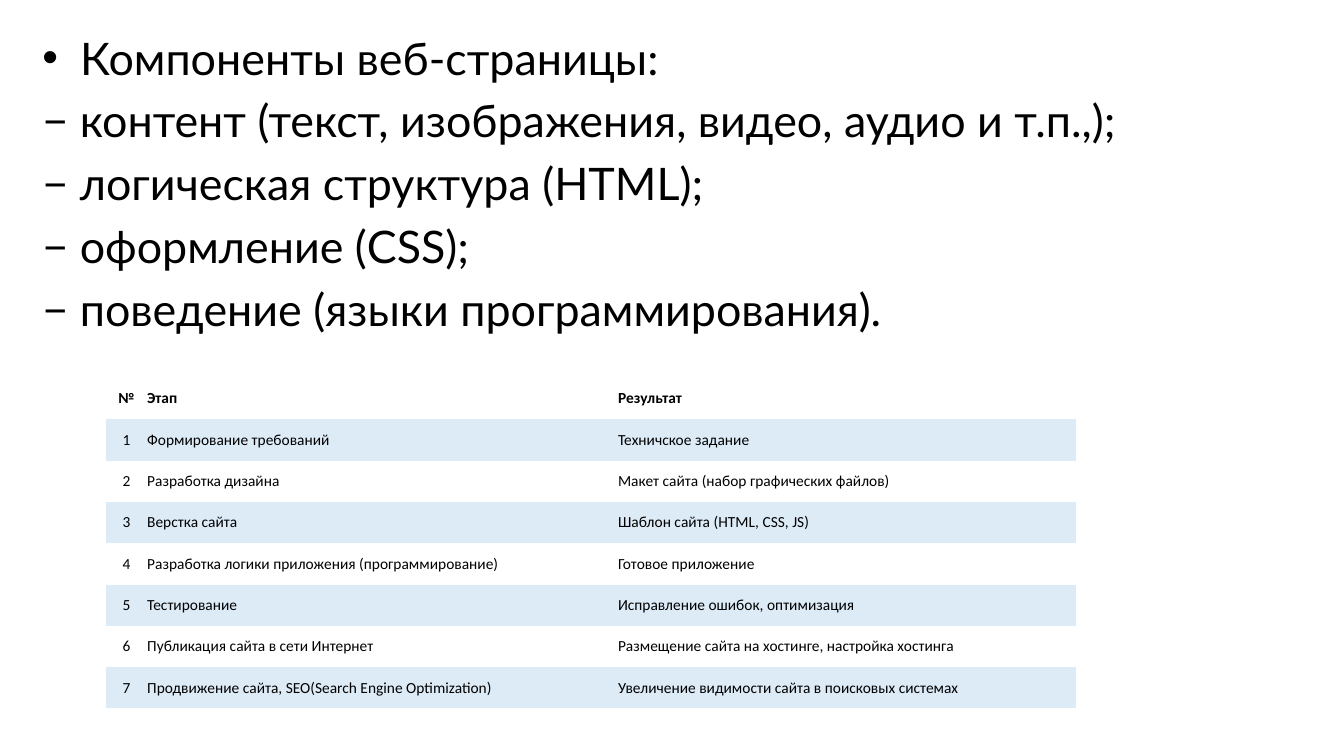
import pptx
import pptx.dml.color
import pptx.enum.text
import pptx.oxml.ns
import pptx.util
from pptx.util import Inches

BLACK = pptx.dml.color.RGBColor(0x00, 0x00, 0x00)
PALE_BLUE = pptx.dml.color.RGBColor(0xDD, 0xEB, 0xF7)
PLAIN_TABLE_STYLE = "{2D5ABB26-0587-4C30-8999-92F81FD0307C}"

LIST_FONT = {"name": "Lato", "size": pptx.util.Pt(32)}
TABLE_FONT = {"name": "Calibri", "size": pptx.util.Pt(11)}
CELL_FORMAT = {
    "margin_left": 0,
    "margin_right": 0,
    "margin_top": 0,
    "margin_bottom": 0,
    "vertical_anchor": pptx.enum.text.MSO_ANCHOR.MIDDLE,
}

HEADING = "Компоненты веб-страницы:"
COMPONENTS = [
    "контент (текст, изображения, видео, аудио и т.п.,);",
    "логическая структура (HTML);",
    "оформление (CSS);",
    "поведение (языки программирования).",
]
COLUMN_WIDTHS = [0.41, 4.67, 4.54]
ROW_HEIGHT = 0.41
HEADER = ("№", "Этап", "Результат")
STAGES = [
    ("Формирование требований", "Техничское задание"),
    ("Разработка дизайна", "Макет сайта (набор графических файлов)"),
    ("Верстка сайта", "Шаблон сайта (HTML, CSS, JS)"),
    ("Разработка логики приложения (программирование)", "Готовое приложение"),
    ("Тестирование", "Исправление ошибок, оптимизация"),
    ("Публикация сайта в сети Интернет",
     "Размещение сайта на хостинге, настройка хостинга"),
    ("Продвижение сайта, SEO(Search Engine Optimization)",
     "Увеличение видимости сайта в поисковых системах"),
]


def apply_format(target, values):
    for attribute, value in values.items():
        setattr(target, attribute, value)


def write(paragraph, text, font_format):
    run = paragraph.add_run()
    run.text = text
    apply_format(run.font, font_format)
    run.font.color.rgb = BLACK


def fill_component_list(body):
    """Fill the body; bullet, hanging indent and spacing come from the layout."""
    place = {"left": 0.32, "top": 0.25, "width": 12, "height": 3.5}
    apply_format(body, {side: Inches(length) for side, length in place.items()})
    frame = body.text_frame
    frame.word_wrap = True
    write(frame.paragraphs[0], HEADING, LIST_FONT)
    for component in COMPONENTS:
        paragraph = frame.add_paragraph()
        write(paragraph, f"− {component}", LIST_FONT)
        properties = paragraph._p.get_or_add_pPr()
        properties.append(pptx.oxml.parse_xml(
            f"<a:buNone {pptx.oxml.ns.nsdecls('a')}/>"))


def fill_cell(cell, text, bold, centred, shaded):
    apply_format(cell, CELL_FORMAT)
    paragraph = cell.text_frame.paragraphs[0]
    write(paragraph, text, {**TABLE_FONT, "bold": bold})
    if centred:
        paragraph.alignment = pptx.enum.text.PP_ALIGN.CENTER
    if shaded:
        cell.fill.solid()
        cell.fill.fore_color.rgb = PALE_BLUE
    else:
        cell.fill.background()


def add_stage_table(slide):
    rows = [HEADER] + [(str(number), *stage)
                       for number, stage in enumerate(STAGES, 1)]
    table = slide.shapes.add_table(
        len(rows), len(HEADER), Inches(1.05), Inches(3.75),
        Inches(sum(COLUMN_WIDTHS)), Inches(ROW_HEIGHT * len(rows))).table
    table._tbl.tblPr.find(pptx.oxml.ns.qn("a:tableStyleId")).text = PLAIN_TABLE_STYLE
    table.horz_banding = False
    for column, width in zip(table.columns, COLUMN_WIDTHS):
        column.width = Inches(width)
    for row_index, texts in enumerate(rows):
        table.rows[row_index].height = Inches(ROW_HEIGHT)
        for column_index, text in enumerate(texts):
            fill_cell(table.cell(row_index, column_index), text,
                      bold=row_index == 0, centred=column_index == 0,
                      shaded=row_index % 2 == 1)


def main():
    presentation = pptx.Presentation()
    presentation.slide_width = Inches(13.33)
    presentation.slide_height = Inches(7.5)
    slide = presentation.slides.add_slide(
        presentation.slide_layouts.get_by_name("Title and Content"))
    empty_title = slide.shapes.title.element
    empty_title.getparent().remove(empty_title)
    fill_component_list(slide.placeholders[1])
    add_stage_table(slide)
    presentation.save("out.pptx")


if __name__ == "__main__":
    main()
